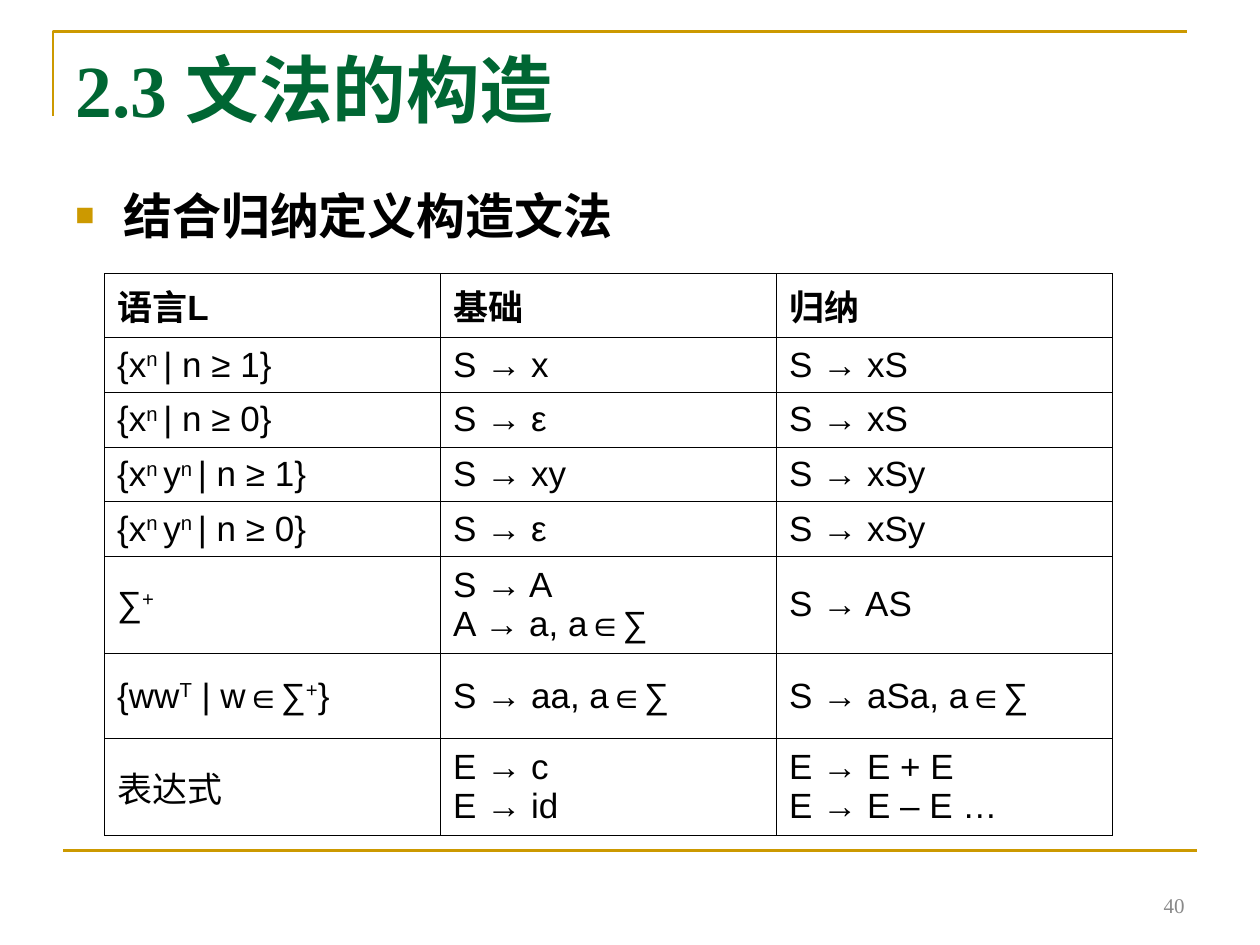
"""Build the slide on constructing grammars from inductive definitions."""
from dataclasses import dataclass

from lxml import etree
from pptx import Presentation
from pptx import util as u
from pptx.dml.color import RGBColor
from pptx.enum import shapes, text
from pptx.oxml import ns


@dataclass(frozen=True)
class Theme:
    gold: str = "CC9900"
    green: str = "006633"
    black: str = "000000"
    gray: str = "898989"
    serif: str = "Times New Roman"
    sans: str = "Arial"
    body: str = "Calibri"
    title: int = 42
    lead: int = 28
    cell: int = 20
    note: int = 12
    rule: float = 1.5
    grid: float = 0.45


@dataclass(frozen=True)
class Row:
    high: float
    cells: tuple[str, str, str]
    bold: bool = False


T = Theme()
WIDE = 8 / 3
ROWS = (
    Row(0.51, ("语言L", "基础", "归纳"), True),
    Row(0.42, ("{x^n ^| n ≥ 1}", "S → x", "S → xS")),
    Row(0.42, ("{x^n ^| n ≥ 0}", "S → ε", "S → xS")),
    Row(0.42, ("{x^n ^y^n ^| n ≥ 1}", "S → xy", "S → xSy")),
    Row(0.42, ("{x^n ^y^n ^| n ≥ 0}", "S → ε", "S → xSy")),
    Row(0.75, ("∑^+^", "S → A\nA → a, a∈∑", "S → AS")),
    Row(0.68, ("{ww^T^ | w∈∑^+^}", "S → aa, a∈∑", "S → aSa, a∈∑")),
    Row(0.75, ("表达式", "E → c\nE → id", "E → E + E\nE → E – E …")),
)


def tag(root, name: str, **attrs: str):
    """Add a drawing element under root."""
    return etree.SubElement(root, ns.qn(name), attrs)


def write(frame, words: str, *, size: int, font: str, color: str = T.black,
          bold: bool = False, align=text.PP_ALIGN.LEFT) -> None:
    """Write lines, with carets around superscripts and arrows in bold."""
    frame.word_wrap = True
    for at, line in enumerate(words.split("\n")):
        para = frame.add_paragraph() if at else frame.paragraphs[0]
        para.alignment = align
        for turn, part in enumerate(line.split("^")):
            for bit in filter(None, part.partition("→")):
                run = para.add_run()
                run.text = bit
                run.font.size = u.Pt(size)
                run.font.name = font
                run.font.bold = bold or bit == "→"
                run.font.color.rgb = RGBColor.from_string(color)
                if turn % 2:
                    run._r.get_or_add_rPr().set("baseline", "30000")


def box(slide, x: float, y: float, w: float, h: float, words: str,
        anchor=text.MSO_ANCHOR.TOP, **form):
    """Place a text box and return its frame."""
    frame = slide.shapes.add_textbox(*map(u.Inches, (x, y, w, h))).text_frame
    frame.vertical_anchor = anchor
    write(frame, words, **form)
    return frame


def mark(para) -> None:
    """Give a paragraph its square bullet."""
    para.space_before = u.Pt(7)
    props = para._p.get_or_add_pPr()
    props.set("marL", str(u.Inches(0.38)))
    props.set("indent", str(-u.Inches(0.38)))
    tag(tag(props, "a:buClr"), "a:srgbClr", val=T.gold)
    tag(props, "a:buSzPct", val="65000")
    tag(props, "a:buFont", typeface=T.sans)
    tag(props, "a:buChar", char="■")


def stroke(shape) -> None:
    """Give a shape the gold rule line."""
    shape.line.color.rgb = RGBColor.from_string(T.gold)
    shape.line.width = u.Pt(T.rule)


def frame(slide) -> None:
    """Draw the corner rule and the foot rule."""
    pen = slide.shapes.build_freeform(u.Inches(0.42), u.Inches(0.92))
    pen.add_line_segments([(u.Inches(0.42), u.Inches(0.25)),
                           (u.Inches(9.42), u.Inches(0.25))], close=False)
    edge = pen.convert_to_shape()
    edge.shadow.inherit = False
    edge.fill.background()
    stroke(edge)
    foot = slide.shapes.add_connector(
        shapes.MSO_CONNECTOR.STRAIGHT,
        *map(u.Inches, (0.5, 6.75, 9.5, 6.75)))
    stroke(foot)
    tag(foot._element.spPr, "a:effectLst")


def rim(cell) -> None:
    """Draw the four borders of a cell and clear its fill."""
    props = cell._tc.get_or_add_tcPr()
    for side in "LRTB":
        line = tag(props, f"a:ln{side}", w=str(u.Pt(T.grid)))
        tag(tag(line, "a:solidFill"), "a:srgbClr", val=T.black)
    cell.fill.background()


def chart(slide, rows: tuple[Row, ...]) -> None:
    """Draw the table of languages and their rules."""
    high = sum(row.high for row in rows)
    grid = slide.shapes.add_table(
        len(rows), 3, *map(u.Inches, (0.83, 2.17, 3 * WIDE, high))).table
    grid.first_row = grid.horz_banding = False
    for col in grid.columns:
        col.width = u.Inches(WIDE)
    for r, row in enumerate(rows):
        grid.rows[r].height = u.Inches(row.high)
        for c, words in enumerate(row.cells):
            cell = grid.cell(r, c)
            cell.vertical_anchor = text.MSO_ANCHOR.MIDDLE
            rim(cell)
            write(cell.text_frame, words, size=T.cell, font=T.sans,
                  bold=row.bold)


def main() -> None:
    """Build and save the deck."""
    deck = Presentation()
    deck.slide_width, deck.slide_height = u.Inches(10), u.Inches(7.5)
    slide = deck.slides.add_slide(deck.slide_layouts[6])
    frame(slide)
    box(slide, 0.5, 0.3, 9, 1.25, "2.3 文法的构造", size=T.title,
        font=T.serif, color=T.green, bold=True)
    lead = box(slide, 0.5, 1.42, 9, 4.96, "结合归纳定义构造文法",
               size=T.lead, font=T.body, bold=True)
    mark(lead.paragraphs[0])
    box(slide, 7.17, 6.83, 2.33, 0.5, "40", anchor=text.MSO_ANCHOR.BOTTOM,
        size=T.note, font=T.serif, color=T.gray, align=text.PP_ALIGN.RIGHT)
    chart(slide, ROWS)
    deck.save("out.pptx")


if __name__ == "__main__":
    main()
